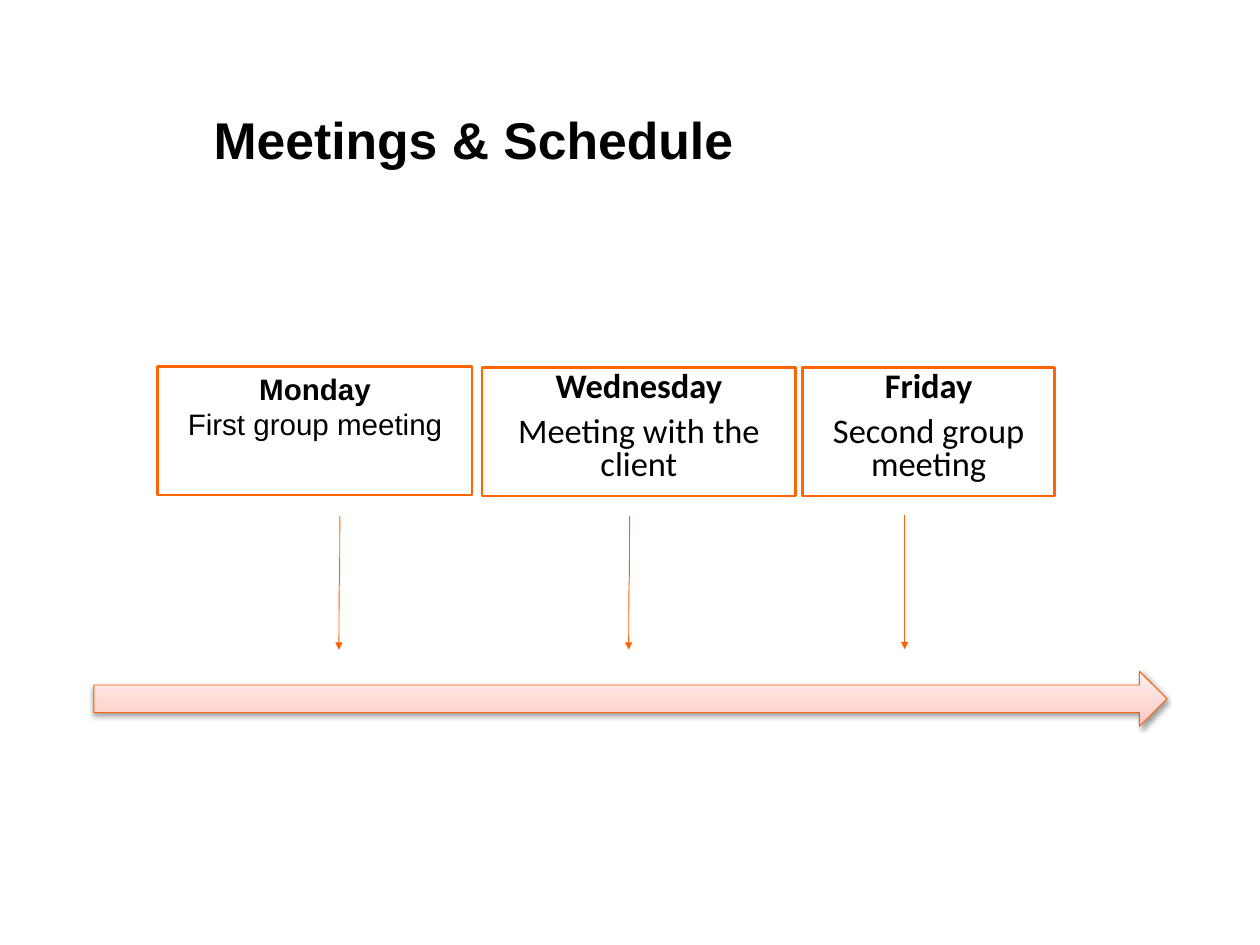
from dataclasses import dataclass

from lxml import etree
from pptx import Presentation
from pptx import util as u
from pptx.dml.color import RGBColor
from pptx.enum import shapes, text
from pptx.oxml import parse_xml
from pptx.oxml.ns import nsdecls, qn


@dataclass(frozen=True)
class Theme:
    text: str = "000000"
    paper: str = "FFFFFF"
    box_line: str = "FF6400"
    arrow_line: str = "F96200"
    band: tuple = ((0, "FFC6BD"), (35, "FFD7D1"), (100, "FFF0EE"))
    heading_font: str = "Arial"
    body_font: str = "Calibri"
    title_size: int = 42
    first_size: int = 24
    body_size: int = 28
    box_width: float = 2
    thin_width: float = 0.75


THEME = Theme()
WIDTH, HEIGHT = 14.22, 10.67

TITLE = "Meetings & Schedule"
TITLE_AREA = (2.31, 1.16, 7.56, 0.81)
TIMELINE_AREA = (1.06, 7.58, 12.11, 0.62)

# day, event, box left, top and width, pointer centre and sideways drift, font, size, line spacing, space before
FIRST_STYLE = (THEME.heading_font, THEME.first_size, 1.0, 0)
LATER_STYLE = (THEME.body_font, THEME.body_size, 0.8, 10)
MEETINGS = [
    ("Monday", "First group meeting", (1.78, 4.14, 3.55), (3.83, 0.01), FIRST_STYLE),
    ("Wednesday", "Meeting with the client", (5.44, 4.15, 3.54), (7.1, 0.01), LATER_STYLE),
    ("Friday", "Second group meeting", (9.06, 4.15, 2.84), (10.21, 0), LATER_STYLE),
]
BOX_HEIGHT = 1.45
POINTER_TOP, POINTER_BOTTOM = 5.82, 7.33


def inches(*lengths):
    return [u.Inches(length) for length in lengths]


def set_line(line, color, width):
    line.color.rgb = RGBColor.from_string(color)
    line.width = u.Pt(width)


def add_span(para, words, font, size, bold):
    span = para.add_run()
    span.text = words
    span.font.name = font
    span.font.size = u.Pt(size)
    span.font.bold = bold
    span.font.color.rgb = RGBColor.from_string(THEME.text)


def add_title(page):
    title = page.shapes.title
    title.left, title.top, title.width, title.height = inches(*TITLE_AREA)
    frame = title.text_frame
    frame.vertical_anchor = text.MSO_ANCHOR.MIDDLE
    frame.auto_size = text.MSO_AUTO_SIZE.NONE
    para = frame.paragraphs[0]
    para.alignment = text.PP_ALIGN.LEFT
    add_span(para, TITLE, THEME.heading_font, THEME.title_size, True)


def add_meeting_box(page, day, event, area, style):
    font, size, spacing, before = style
    box = page.shapes.add_shape(
        shapes.MSO_SHAPE.RECTANGLE, *inches(*area, BOX_HEIGHT))
    box.shadow.inherit = False
    box.fill.solid()
    box.fill.fore_color.rgb = RGBColor.from_string(THEME.paper)
    set_line(box.line, THEME.box_line, THEME.box_width)
    frame = box.text_frame
    frame.word_wrap = True
    frame.vertical_anchor = text.MSO_ANCHOR.TOP
    for para, words, bold in ((frame.paragraphs[0], day, True),
                              (frame.add_paragraph(), event, False)):
        para.alignment = text.PP_ALIGN.CENTER
        para.line_spacing = spacing
        para.space_before = u.Pt(before)
        add_span(para, words, font, size, bold)


def add_pointer(page, center, drift):
    """Lay a curved connector flat, then turn it a quarter so it points down."""
    half = (POINTER_BOTTOM - POINTER_TOP) / 2
    middle = POINTER_TOP + half
    pointer = page.shapes.add_connector(
        shapes.MSO_CONNECTOR.CURVE,
        *inches(center - half, middle, center + half, middle + drift))
    set_line(pointer.line, THEME.arrow_line, THEME.thin_width)
    properties = pointer._element.spPr
    properties.find(qn("a:xfrm")).set("rot", str(90 * 60000))
    etree.SubElement(properties.find(qn("a:ln")), qn("a:tailEnd"), type="triangle")
    etree.SubElement(properties, qn("a:effectLst"))


def add_timeline(page):
    arrow = page.shapes.add_shape(
        shapes.MSO_SHAPE.RIGHT_ARROW, *inches(*TIMELINE_AREA))
    set_line(arrow.line, THEME.arrow_line, THEME.thin_width)
    arrow.shadow.inherit = False
    properties = arrow._element.spPr
    stops = "".join(
        f'<a:gs pos="{share * 1000}"><a:srgbClr val="{color}"/></a:gs>'
        for share, color in THEME.band)
    properties.find(qn("a:ln")).addprevious(parse_xml(
        f'<a:gradFill {nsdecls("a")} rotWithShape="1"><a:gsLst>{stops}</a:gsLst>'
        f'<a:lin ang="{270 * 60000}" scaled="0"/></a:gradFill>'))
    properties.find(qn("a:effectLst")).append(parse_xml(
        f'<a:outerShdw {nsdecls("a")} blurRad="{u.Pt(3.1)}" dist="{u.Pt(1.6)}" '
        f'dir="{90 * 60000}" rotWithShape="0"><a:srgbClr val="{THEME.text}">'
        '<a:alpha val="38000"/></a:srgbClr></a:outerShdw>'))


def main():
    deck = Presentation()
    deck.slide_width, deck.slide_height = inches(WIDTH, HEIGHT)
    page = deck.slides.add_slide(deck.slide_layouts.get_by_name("Title Only"))
    add_title(page)
    add_timeline(page)
    for day, event, area, pointer, style in MEETINGS:
        add_meeting_box(page, day, event, area, style)
        add_pointer(page, *pointer)
    deck.save("out.pptx")


if __name__ == "__main__":
    main()
